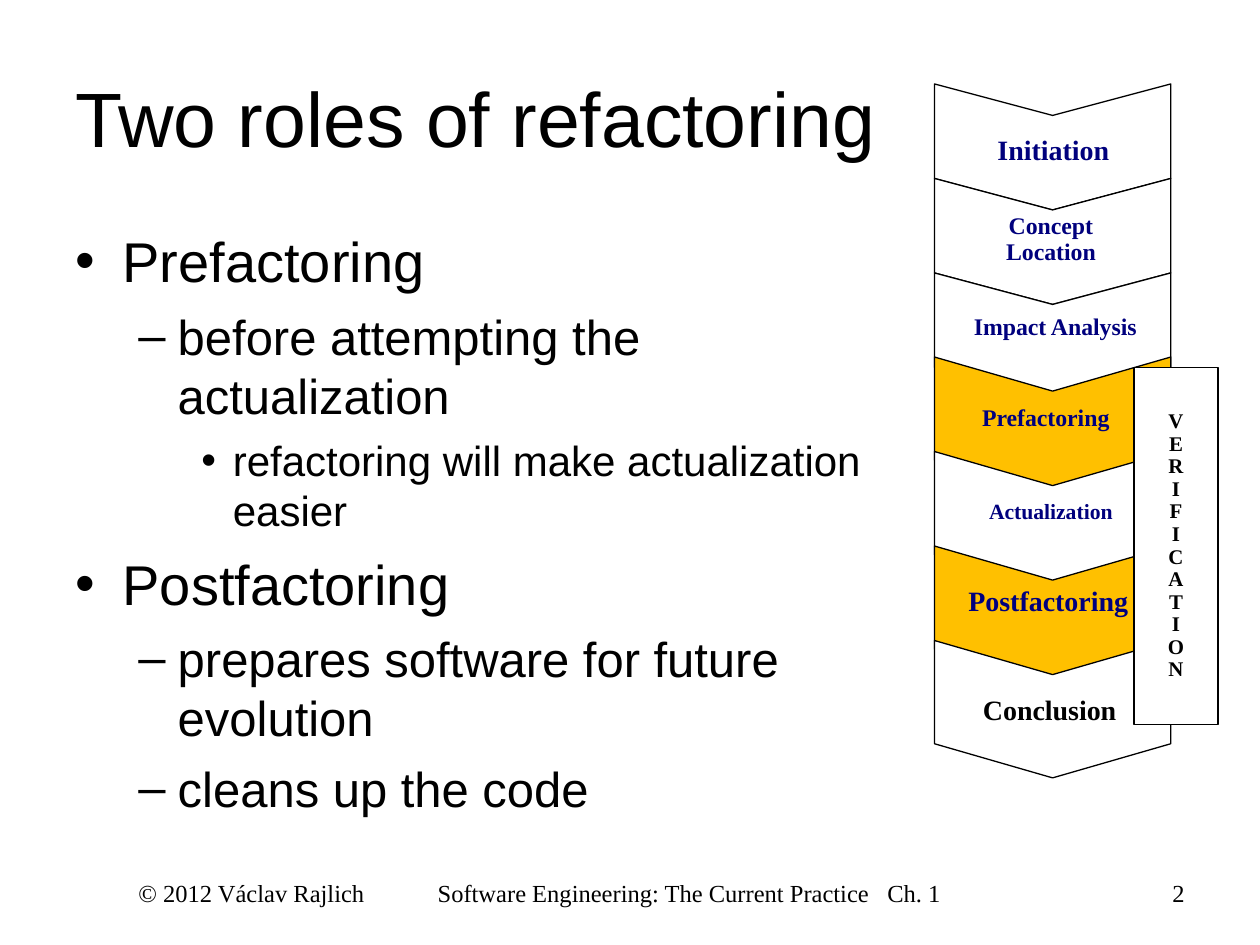
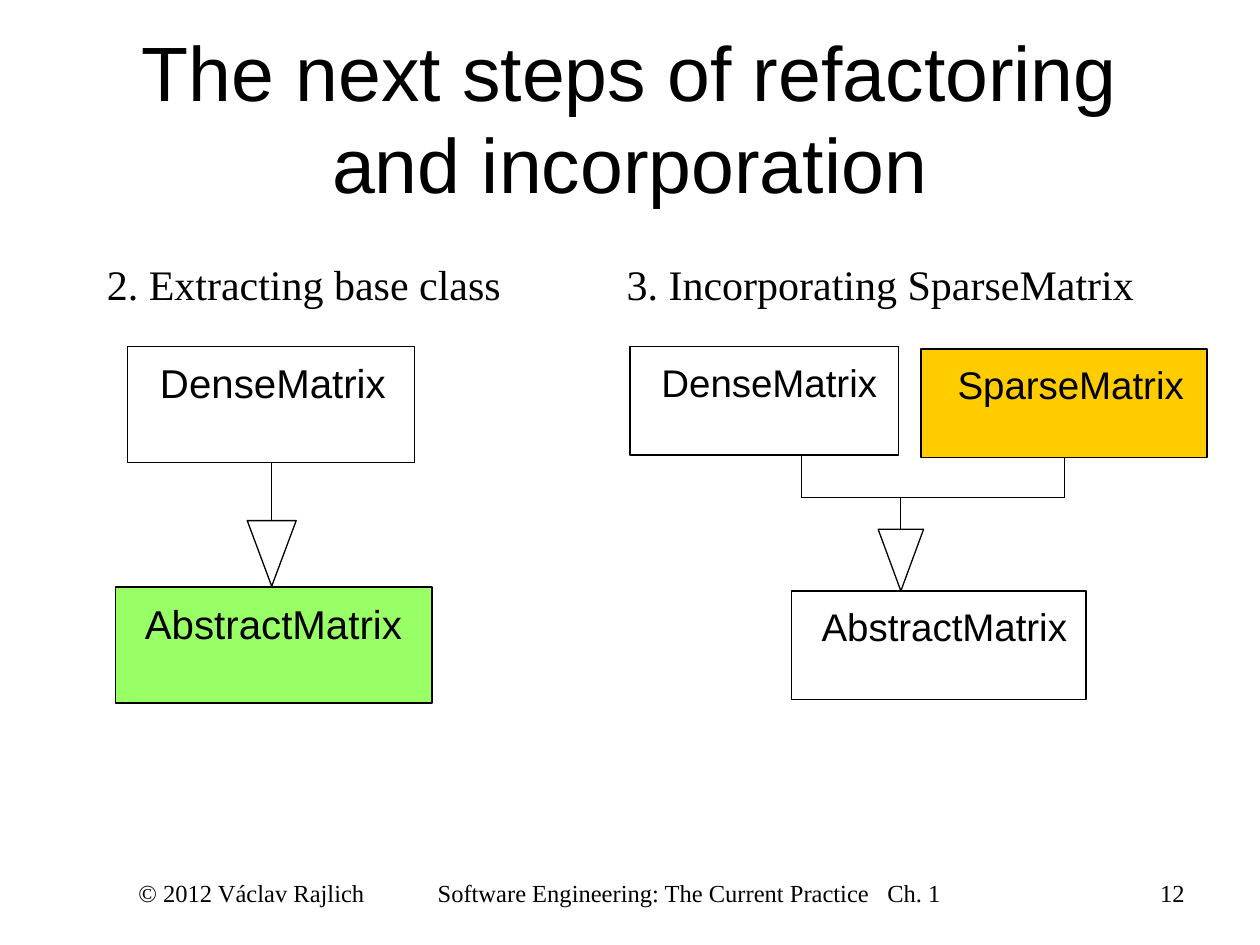
from lxml.etree import SubElement
from pptx import Presentation
from pptx.dml.color import RGBColor
from pptx.enum.shapes import MSO_CONNECTOR, MSO_SHAPE
from pptx.enum.text import MSO_ANCHOR, PP_ALIGN
from pptx.oxml.ns import qn
from pptx.util import Pt

SANS, SERIF = "Arial", "Times New Roman"
BLACK, WHITE, NAVY = "000000", "FFFFFF", "00007D"
AMBER, YELLOW, GREEN = "FFC000", "FFCC00", "99FF66"
LEFT, CENTER, RIGHT = PP_ALIGN.LEFT, PP_ALIGN.CENTER, PP_ALIGN.RIGHT
OUTLINE_WIDTH = 0.75
FOOTER = "© 2012 Václav Rajlich\tSoftware Engineering: The Current Practice\tCh. 1"
OUTLINE_LEVELS = [
    dict(size=32, before=8, bullet="•", margin=27, hanging=27),
    dict(size=28, before=7, bullet="–", margin=58.5, hanging=22.5),
    dict(size=24, before=6, bullet="•", margin=90, hanging=18),
]


def color(value):
    return RGBColor.from_string(value)


def write_text(paragraph, text, size=14, font=SERIF, ink=BLACK, bold=False, align=LEFT,
               spacing=None, before=0, level=0, bullet=None, margin=0, hanging=0, tabs=()):
    paragraph.alignment = align
    paragraph.level = level
    paragraph.space_before = Pt(before)
    if spacing:
        paragraph.line_spacing = spacing
    properties = paragraph._p.get_or_add_pPr()
    if bullet:
        properties.set("marL", str(Pt(margin)))
        properties.set("indent", str(-Pt(hanging)))
        SubElement(properties, qn("a:buFont"), typeface=SANS)
        SubElement(properties, qn("a:buChar"), char=bullet)
    if tabs:
        stops = SubElement(properties, qn("a:tabLst"))
        for stop in tabs:
            SubElement(stops, qn("a:tab"), pos=str(Pt(stop)), algn="l")
    run = paragraph.add_run()
    run.text = text
    run.font.size = Pt(size)
    run.font.name = font
    run.font.bold = bold
    run.font.color.rgb = color(ink)


class Deck:
    """Holds the shared style and the slide being drawn."""

    def __init__(self):
        self.presentation = Presentation()
        self.presentation.slide_width = Pt(720)
        self.presentation.slide_height = Pt(540)
        self.slide = None

    def start_slide(self, title, number, title_align=LEFT):
        self.slide = self.presentation.slides.add_slide(self.presentation.slide_layouts[6])
        self.text(36, 21.6, 648, 90, [title], anchor=MSO_ANCHOR.MIDDLE,
                  size=44, font=SANS, align=title_align)
        self.text(72, 502.5, 510, 37.5, [FOOTER], spacing=0.74, tabs=(171, 428))
        self.text(516, 502.5, 168, 37.5, [str(number)], spacing=0.74, align=RIGHT)

    def fill_frame(self, frame, lines, anchor=MSO_ANCHOR.TOP, **style):
        frame.word_wrap = True
        frame.vertical_anchor = anchor
        for index, line in enumerate(lines):
            paragraph = frame.add_paragraph() if index else frame.paragraphs[0]
            write_text(paragraph, line, **style)

    def text(self, left, top, width, height, lines, **style):
        box = self.slide.shapes.add_textbox(Pt(left), Pt(top), Pt(width), Pt(height))
        self.fill_frame(box.text_frame, lines, **style)

    def outline(self, left, top, width, height, items):
        box = self.slide.shapes.add_textbox(Pt(left), Pt(top), Pt(width), Pt(height))
        frame = box.text_frame
        frame.word_wrap = True
        for index, (level, item) in enumerate(items):
            paragraph = frame.add_paragraph() if index else frame.paragraphs[0]
            style = dict(OUTLINE_LEVELS[level])
            if index == 0:
                style["before"] = 0
            write_text(paragraph, item, font=SANS, level=level, **style)

    def paint(self, shape, fill):
        shape.shadow.inherit = False
        shape.fill.solid()
        shape.fill.fore_color.rgb = color(fill)
        shape.line.color.rgb = color(BLACK)
        shape.line.width = Pt(OUTLINE_WIDTH)

    def rectangle(self, left, top, width, height, fill=WHITE):
        shape = self.slide.shapes.add_shape(
            MSO_SHAPE.RECTANGLE, Pt(left), Pt(top), Pt(width), Pt(height))
        self.paint(shape, fill)
        return shape

    def class_box(self, left, top, width, height, name, indent, size, fill=WHITE):
        frame = self.rectangle(left, top, width, height, fill).text_frame
        frame.margin_left, frame.margin_top = Pt(indent), Pt(7)
        frame.margin_right = frame.margin_bottom = 0
        self.fill_frame(frame, [name], size=size, font=SANS)

    def polygon(self, points, fill=WHITE):
        corners = [(Pt(x), Pt(y)) for x, y in points]
        builder = self.slide.shapes.build_freeform(*corners[0])
        builder.add_line_segments(corners[1:], close=True)
        self.paint(builder.convert_to_shape(), fill)

    def chevron(self, left, top, width, side, notch, fill):
        middle, right = left + width / 2, left + width
        self.polygon([(right, top), (right, top + side), (middle, top + side + notch),
                      (left, top + side), (left, top), (middle, top + notch)], fill)

    def line(self, x1, y1, x2, y2):
        connector = self.slide.shapes.add_connector(
            MSO_CONNECTOR.STRAIGHT, Pt(x1), Pt(y1), Pt(x2), Pt(y2))
        connector.line.color.rgb = color(BLACK)
        connector.line.width = Pt(OUTLINE_WIDTH)
        SubElement(connector.element.spPr, qn("a:effectLst"))

    def inheritance_arrow(self, x, top, tip, width, height):
        self.line(x, top, x, tip)
        self.polygon([(x, tip), (x + width / 2, tip - height), (x - width / 2, tip - height)])


def draw_roles(deck):
    deck.start_slide("Two roles of refactoring", 2)
    deck.outline(36, 126, 498, 356.5, [
        (0, "Prefactoring"),
        (1, "before attempting the actualization"),
        (2, "refactoring will make actualization easier"),
        (0, "Postfactoring"),
        (1, "prepares software for future evolution"),
        (1, "cleans up the code"),
    ])
    phases = [
        ("Initiation", 601.9, 72, 16, 1, NAVY, WHITE),
        ("Concept Location", 600.5, 118.8, 13.6, 0.9, NAVY, WHITE),
        ("Impact Analysis", 603, 176.4, 13.6, 0.9, NAVY, WHITE),
        ("Prefactoring", 597.6, 228.2, 13.6, 0.9, NAVY, AMBER),
        ("Actualization", 600.5, 283.7, 12.4, 0.8, NAVY, WHITE),
        ("Postfactoring", 599, 329.8, 16, 1, NAVY, AMBER),
        ("Conclusion", 599.8, 392.4, 16, 1, BLACK, WHITE),
    ]
    for step, (*_, fill) in enumerate(phases):
        rise, side, notch = (0, 54, 18) if step < 3 else (6, 59, 19.5)
        deck.chevron(534, 48 + 54 * step - rise, 135, side, notch, fill)
    for phase, middle, top, size, spacing, ink, _ in phases:
        width = 110 if " L" in phase else 128
        deck.text(middle - width / 2, top, width, 26, [phase], size=size, ink=ink,
                  bold=True, align=CENTER, spacing=spacing)
    verification = deck.rectangle(648, 210, 48, 204)
    deck.fill_frame(verification.text_frame, "VERIFICATION", anchor=MSO_ANCHOR.MIDDLE,
                    size=11.9, bold=True, align=CENTER, spacing=0.9)


def draw_next_steps(deck):
    deck.start_slide("The next steps of refactoring and incorporation", 12, CENTER)
    deck.text(54, 144, 654, 36, ["2. Extracting base class\t3. Incorporating SparseMatrix"],
              size=24, tabs=(297,))

    deck.class_box(72.7, 198, 164.2, 66.2, "DenseMatrix", 18.7, 23)
    deck.class_box(66.2, 335.5, 180.7, 66.2, "AbstractMatrix", 16.6, 23, GREEN)
    deck.inheritance_arrow(155.3, 264.2, 335, 28, 37.5)

    deck.class_box(360, 198, 153.4, 62, "DenseMatrix", 18, 22)
    deck.class_box(526.3, 199.5, 163.5, 62, "SparseMatrix", 20.9, 22, YELLOW)
    deck.class_box(452.2, 337.7, 168.5, 62, "AbstractMatrix", 17.3, 22)
    junction, dense_x, sparse_x = 284.4, 457.9, 608.4
    deck.line(dense_x, 260, dense_x, junction)
    deck.line(sparse_x, 261.5, sparse_x, junction)
    deck.line(dense_x, junction, sparse_x, junction)
    deck.inheritance_arrow(514.8, junction, 337.7, 26, 35.3)


def main():
    deck = Deck()
    draw_roles(deck)
    draw_next_steps(deck)
    deck.presentation.save("out.pptx")


if __name__ == "__main__":
    main()
